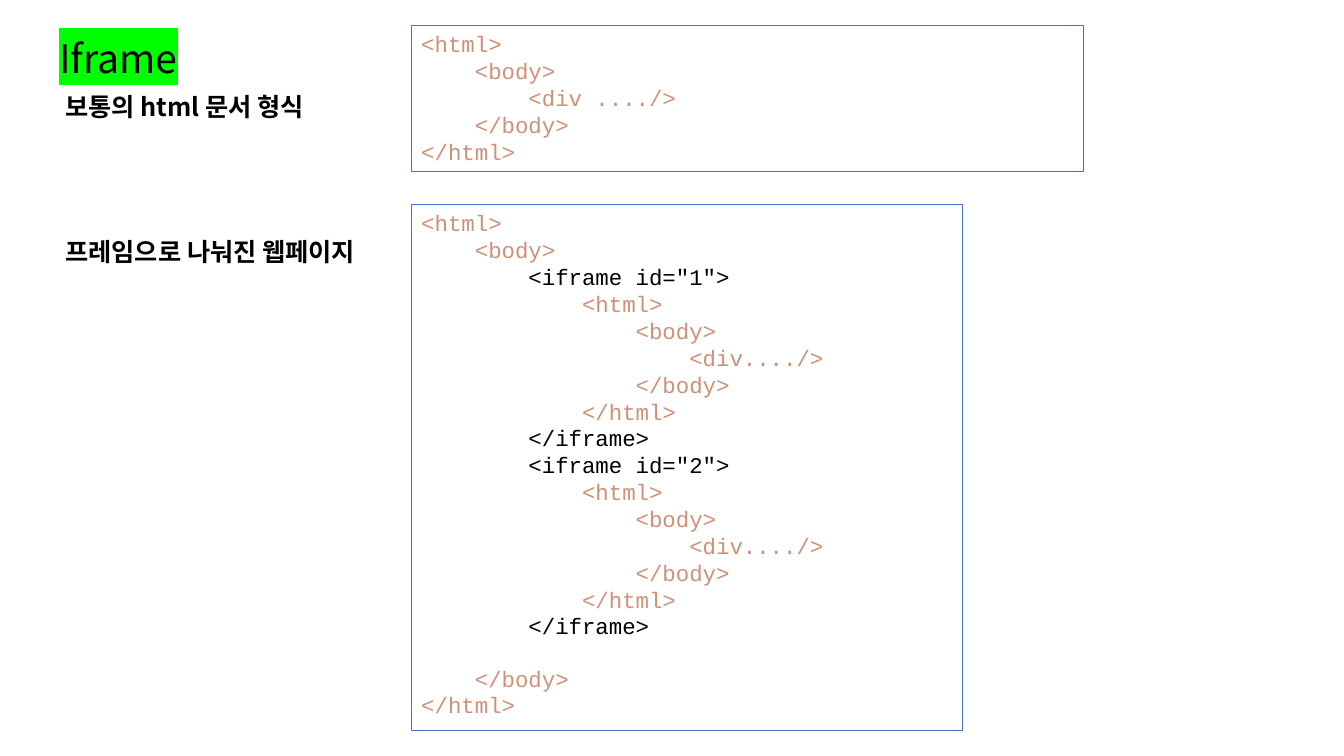
from lxml import etree
from pptx import Presentation
from pptx.dml.color import RGBColor
from pptx.enum.shapes import MSO_SHAPE
from pptx.enum.text import MSO_ANCHOR, MSO_AUTO_SIZE, PP_ALIGN
from pptx.oxml.ns import qn
from pptx.util import Inches, Pt

RECTANGLE = MSO_SHAPE.RECTANGLE
TOP, BOTTOM = MSO_ANCHOR.TOP, MSO_ANCHOR.BOTTOM
GROW, FIXED = MSO_AUTO_SIZE.SHAPE_TO_FIT_TEXT, MSO_AUTO_SIZE.NONE
LEFT = PP_ALIGN.LEFT

COLORS = {"text": "000000", "tag": "CE9178", "border": "4472C4", "marker": "00FF00"}
TEXT_FONT, CODE_FONT = "Noto Sans CJK KR", "Courier New"
CODE_SIZE = 16

PLAIN_PAGE = """<html>
    <body>
        <div ..../>
    </body>
</html>"""

FRAME = """        <iframe id="{}">
            <html>
                <body>
                    <div..../>
                </body>
            </html>
        </iframe>
"""

FRAMED_PAGE = f"""<html>
    <body>
{FRAME.format(1)}{FRAME.format(2)}
    </body>
</html>"""


class SlideBuilder:
    def __init__(self, page):
        self.page = page

    def add_span(self, para, text, size, font, color="text", bold=False, marker=None):
        span = para.add_run()
        span.text = text
        span.font.size = Pt(size)
        span.font.bold = bold
        span.font.color.rgb = RGBColor.from_string(COLORS[color])
        properties = span.font._element
        if marker:
            highlight = etree.SubElement(properties, qn("a:highlight"))
            etree.SubElement(highlight, qn("a:srgbClr"), val=COLORS[marker])
        span.font.name = font
        etree.SubElement(properties, qn("a:ea"), typeface=font)

    def prepare_frame(self, box, anchor, auto_size):
        frame = box.text_frame
        frame.word_wrap = True
        frame.vertical_anchor = anchor
        frame.auto_size = auto_size
        return frame

    def add_label(self, left, top, width, height, text, size=18, bold=True,
                  marker=None, anchor=TOP, auto_size=GROW, line_spacing=1.0):
        box = self.page.shapes.add_textbox(
            Inches(left), Inches(top), Inches(width), Inches(height))
        para = self.prepare_frame(box, anchor, auto_size).paragraphs[0]
        para.line_spacing = line_spacing
        self.add_span(para, text, size, TEXT_FONT, bold=bold, marker=marker)

    def add_code(self, left, top, width, height, code):
        """Draw a bordered listing; iframe lines stand out, empty lines become spacing."""
        box = self.page.shapes.add_shape(
            RECTANGLE, Inches(left), Inches(top), Inches(width), Inches(height))
        box.shadow.inherit = False
        box.fill.background()
        box.line.color.rgb = RGBColor.from_string(COLORS["border"])
        box.line.width = Pt(0.75)
        frame = self.prepare_frame(box, TOP, GROW)
        para, gap = frame.paragraphs[0], 0
        for number, line in enumerate(code.splitlines()):
            if not line:
                gap += 18
                continue
            if number:
                para = frame.add_paragraph()
            para.alignment = LEFT
            if gap:
                para.space_before = Pt(gap)
                gap = 0
            color = "text" if "iframe" in line else "tag"
            self.add_span(para, line, CODE_SIZE, CODE_FONT, color)


def main():
    deck = Presentation()
    deck.slide_width, deck.slide_height = Inches(13.33), Inches(7.5)
    slide = SlideBuilder(deck.slides.add_slide(deck.slide_layouts[6]))

    slide.add_label(0.49, 0.24, 4.82, 0.62, "Iframe", size=28, bold=False,
                    marker="marker", anchor=BOTTOM, auto_size=FIXED, line_spacing=0.9)
    slide.add_label(0.55, 0.86, 3.12, 0.4, "보통의 html 문서 형식")
    slide.add_code(4.08, 0.25, 6.67, 1.45, PLAIN_PAGE)
    slide.add_label(0.55, 2.3, 3.53, 0.4, "프레임으로 나눠진 웹페이지")
    slide.add_code(4.08, 2.03, 5.47, 5.22, FRAMED_PAGE)

    deck.save("out.pptx")


if __name__ == "__main__":
    main()
